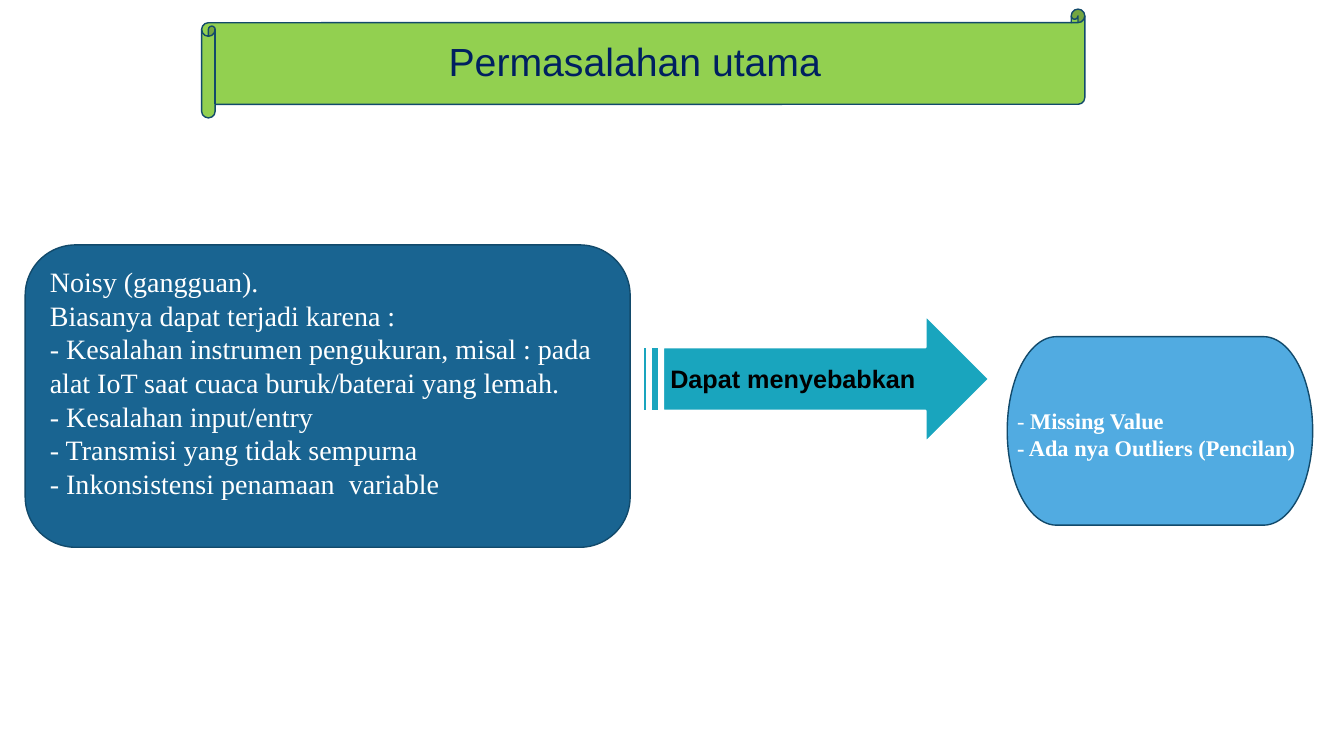
"""Build the slide on the main data quality problems."""
from pptx import Presentation
from pptx import util as u
from pptx.dml import color
from pptx.enum import shapes, text

SHAPE = shapes.MSO_SHAPE
ALIGN = text.PP_ALIGN
SERIF = "Times New Roman"
EDGE = "124A6B"


def rgb(code):
    """Turn a hex string into a colour."""
    return color.RGBColor.from_string(code)


def draw(slide, kind, box, fill, line=EDGE, width=1):
    """Add a filled and outlined preset shape."""
    form = slide.shapes.add_shape(kind, *map(u.Inches, box))
    form.shadow.inherit = False
    form.fill.solid()
    form.fill.fore_color.rgb = rgb(fill)
    form.line.color.rgb = rgb(line)
    form.line.width = u.Pt(width)
    return form


def write(form, lines, size, font=SERIF, tint="FFFFFF", bold=False,
          align=ALIGN.LEFT, left=0.1):
    """Write one paragraph per line and return the paragraphs."""
    frame = form.text_frame
    frame.word_wrap = True
    frame.vertical_anchor = text.MSO_ANCHOR.TOP
    frame.margin_left = u.Inches(left)
    for i, line in enumerate(lines):
        para = frame.paragraphs[0] if i == 0 else frame.add_paragraph()
        para.text = line
        para.alignment = align
        for run in para.runs:
            run.font.name = font
            run.font.size = u.Pt(size)
            run.font.bold = bold
            run.font.color.rgb = rgb(tint)
    return frame.paragraphs


def label(slide, box, lines, size, **style):
    """Add a text box and return its paragraphs."""
    form = slide.shapes.add_textbox(*map(u.Inches, box))
    return write(form, lines, size, **style)


def banner(slide, x, y, w, h):
    """Place the scroll with the slide title."""
    draw(slide, SHAPE.HORIZONTAL_SCROLL, (x, y, w, h), "92D050")
    title = label(slide, (x - 1.65, y + 0.28, w + 3.9, 0.79),
                  ["Permasalahan utama"], 28, font="Arial",
                  tint="002060", left=4.1)[0]
    title.line_spacing = 0.9


def cause(slide, x, y, w, h):
    """Place the panel that lists the causes of noise."""
    panel = draw(slide, SHAPE.FLOWCHART_ALTERNATE_PROCESS, (x, y, w, h), "196491")
    lines = [
        "Noisy (gangguan).",
        "Biasanya dapat terjadi karena :\v- Kesalahan instrumen pengukuran, "
        "misal : pada alat IoT saat cuaca buruk/baterai yang lemah.",
        "- Kesalahan input/entry",
        "- Transmisi yang tidak sempurna",
        "- Inkonsistensi penamaan  variable",
    ]
    paras = write(panel, lines, 20, align=ALIGN.JUSTIFY)
    paras[1].alignment = ALIGN.LEFT


def arrow(slide, x, y, w, h):
    """Place the arrow from cause to effect with its label."""
    draw(slide, SHAPE.STRIPED_RIGHT_ARROW, (x, y, w, h), "19A5BE", "FFFFFF", 1.5)
    label(slide, (x + 0.17, y + 0.43, 2.66, 0.4), ["Dapat menyebabkan"], 18,
          font="Arial", tint="000000", bold=True)


def effect(slide, x, y, w, h):
    """Place the terminator that lists the effects."""
    draw(slide, SHAPE.FLOWCHART_TERMINATOR, (x, y, w, h), "51ABE1")
    lines = ["- ", "- Ada nya Outliers (Pencilan)"]
    first = label(slide, (x, y + 0.65, 4.32, 0.64), lines, 16, bold=True)[0]
    dash, term = first.runs[0], first.add_run()
    dash.font.bold = False
    term.text = "Missing Value"
    term.font.name = SERIF
    term.font.size = u.Pt(16)
    term.font.bold = True
    term.font.color.rgb = rgb("FFFFFF")


def main():
    """Build and save the deck."""
    deck = Presentation()
    deck.slide_width = u.Inches(13.33)
    deck.slide_height = u.Inches(7.5)
    slide = deck.slides.add_slide(deck.slide_layouts[6])
    banner(slide, 2, 0.09, 8.76, 1.08)
    cause(slide, 0.25, 2.43, 6, 3)
    arrow(slide, 6.38, 3.13, 3.43, 1.26)
    effect(slide, 9.99, 3.34, 3.03, 1.87)
    deck.save("out.pptx")


if __name__ == "__main__":
    main()
